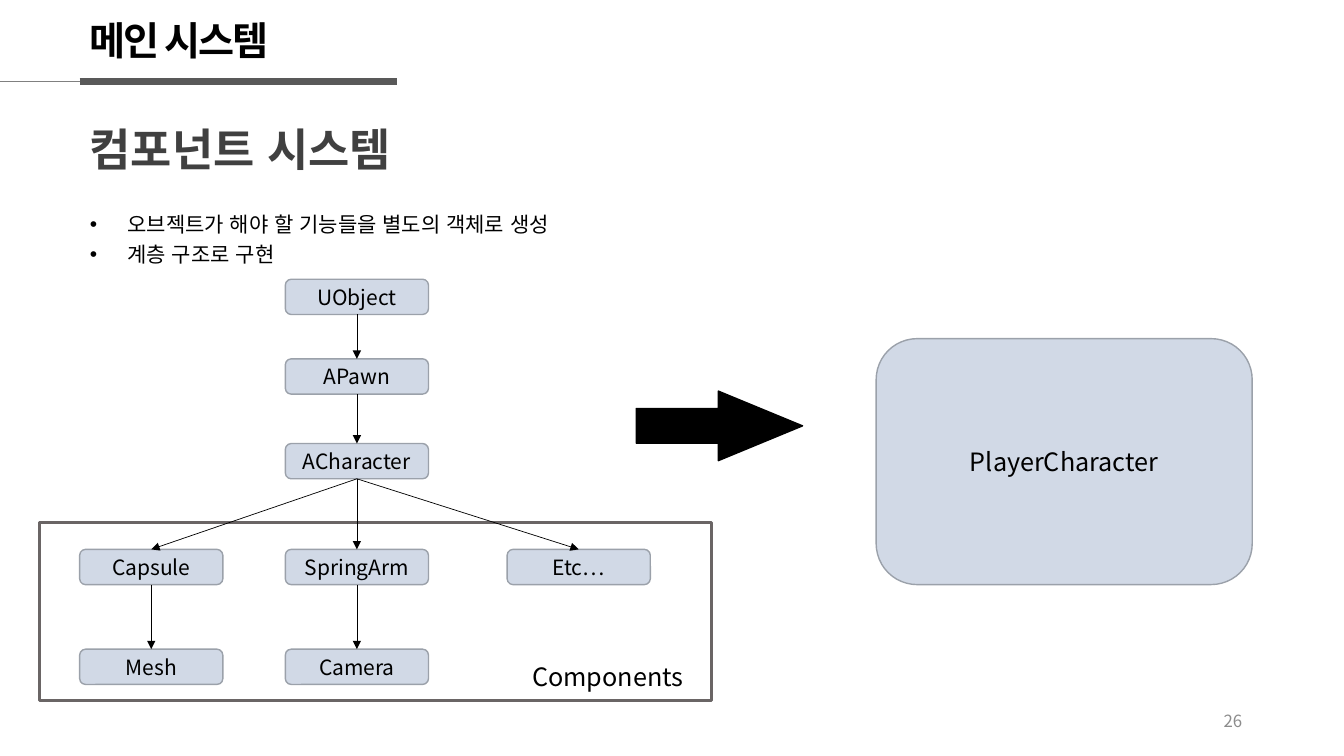
from lxml import etree
from pptx import Presentation
from pptx import util as u
from pptx.dml.color import RGBColor
from pptx.enum import shapes, text
from pptx.oxml.ns import qn

SANS, ARIAL = "Noto Sans CJK KR", "Arial"
HEADER, HEADING, PAGE_NUMBER = "메인 시스템", "컴포넌트 시스템", "26"
POINTS = ["오브젝트가 해야 할 기능들을 별도의 객체로 생성", "계층 구조로 구현"]
COLUMNS = [0.79, 2.83, 5.03]
ROWS = [2.77, 3.56, 4.4, 5.45, 6.44]
NODE_SIZE = (1.42, 0.35)
NODES = {  # name: (column, row)
    "UObject": (1, 0), "APawn": (1, 1), "ACharacter": (1, 2),
    "Capsule": (0, 3), "SpringArm": (1, 3), "Etc…": (2, 3),
    "Mesh": (0, 4), "Camera": (1, 4),
}
LINKS = [("UObject", "APawn"), ("APawn", "ACharacter"),
         ("ACharacter", "Capsule"), ("ACharacter", "SpringArm"),
         ("ACharacter", "Etc…"), ("Capsule", "Mesh"), ("SpringArm", "Camera")]
BOTTOM, TOP = 2, 0


def color(value):
    return RGBColor.from_string(value)


def place(shape, left, top, width, height):
    shape.left, shape.top = u.Inches(left), u.Inches(top)
    shape.width, shape.height = u.Inches(width), u.Inches(height)


def write(shape, lines, size, font=SANS, ink="000000", bold=False,
          align=text.PP_ALIGN.LEFT, anchor=text.MSO_ANCHOR.TOP, wrap=True):
    frame = shape.text_frame
    frame.text = "\n".join(lines)
    frame.word_wrap = wrap
    frame.auto_size = text.MSO_AUTO_SIZE.NONE
    frame.vertical_anchor = anchor
    for para in frame.paragraphs:
        para.alignment = align
        para.space_before = u.Pt(0)
        para.line_spacing = 1.0
        para.font.size, para.font.bold = u.Pt(size), bold
        para.font.name = font
        para.font.color.rgb = color(ink)
        # Hangul takes its typeface from the East Asian slot
        latin = para.font._element.find(qn("a:latin"))
        east = etree.Element(qn("a:ea"), typeface=font)
        latin.addnext(east)
    return frame


def add_label(page, at, line, size, **style):
    box = page.shapes.add_textbox(*map(u.Inches, at))
    write(box, [line], size, **style)


def add_block(page, kind, at, fill, line, width):
    block = page.shapes.add_shape(kind, *map(u.Inches, at))
    block.shadow.inherit = False
    if fill:
        block.fill.solid()
        block.fill.fore_color.rgb = color(fill)
    else:
        block.fill.background()
    block.line.color.rgb = color(line)
    block.line.width = u.Pt(width)
    return block


def add_node(page, at, name, size):
    node = add_block(page, shapes.MSO_SHAPE.ROUNDED_RECTANGLE, at, "D1D9E6", "9BA1AA", 1)
    write(node, [name], size, align=text.PP_ALIGN.CENTER, anchor=text.MSO_ANCHOR.MIDDLE)
    return node


def add_line(page, start, end, ink, width):
    line = page.shapes.add_connector(
        shapes.MSO_CONNECTOR.STRAIGHT, *map(u.Inches, start + end))
    line.line.color.rgb = color(ink)
    line.line.width = u.Pt(width)
    etree.SubElement(line._element.spPr, qn("a:effectLst"))
    return line


def add_link(page, parent, child):
    link = add_line(page, (0, 0), (1, 1), "000000", 0.5)
    link.begin_connect(parent, BOTTOM)
    link.end_connect(child, TOP)
    etree.SubElement(link.line._get_or_add_ln(), qn("a:tailEnd"), type="triangle")


def main():
    deck = Presentation()
    deck.slide_width, deck.slide_height = u.Inches(13.33), u.Inches(7.5)
    page = deck.slides.add_slide(deck.slide_layouts[1])

    # Frame around the components
    add_block(page, shapes.MSO_SHAPE.RECTANGLE, (0.39, 5.18, 6.67, 1.77),
              None, "6A6565", 2.25)

    # Header with its rules
    add_line(page, (0, 0.81), (0.79, 0.81), "808080", 0.5)
    add_line(page, (0.79, 0.81), (3.94, 0.81), "595959", 4.5)
    title = page.shapes.title
    place(title, 0.79, 0.11, 2.18, 0.57)
    header = write(title, [HEADER], 28, bold=True, wrap=False)
    header.paragraphs[0].font._element.set("spc", "-150")

    # Heading, bullet list and page number
    add_label(page, (0.79, 1.16, 5.94, 0.64), HEADING, 32,
              font=ARIAL, ink="404040", bold=True)
    body = page.placeholders[1]
    place(body, 0.79, 2, 5.82, 0.69)
    body.text_frame.text = "\n".join(POINTS)
    for para in body.text_frame.paragraphs:
        properties = para._p.get_or_add_pPr()
        properties.set("marL", str(u.Inches(0.31)))
        properties.set("indent", str(u.Inches(-0.31)))
        etree.SubElement(properties, qn("a:buFont"), typeface=ARIAL)
        etree.SubElement(properties, qn("a:buChar"), char="-")
    for para in write(body, POINTS, 15, font=ARIAL).paragraphs:
        para.line_spacing = 1.2
    add_label(page, (9.42, 6.95, 3, 0.4), PAGE_NUMBER, 12, ink="8C8C8C",
              align=text.PP_ALIGN.RIGHT, anchor=text.MSO_ANCHOR.MIDDLE)

    # Class hierarchy
    nodes = {name: add_node(page, (COLUMNS[column], ROWS[row], *NODE_SIZE), name, 15)
             for name, (column, row) in NODES.items()}
    for parent, child in LINKS:
        add_link(page, nodes[parent], nodes[child])
    add_label(page, (5.18, 6.51, 1.8, 0.4), "Components", 18)

    # Resulting class
    arrow = add_block(page, shapes.MSO_SHAPE.RIGHT_ARROW, (6.31, 3.88, 1.65, 0.69),
                      "000000", "000000", 1)
    arrow.adjustments[1] = 1.21
    add_node(page, (8.69, 3.36, 3.73, 2.44), "PlayerCharacter", 18)

    deck.save("out.pptx")


if __name__ == "__main__":
    main()
